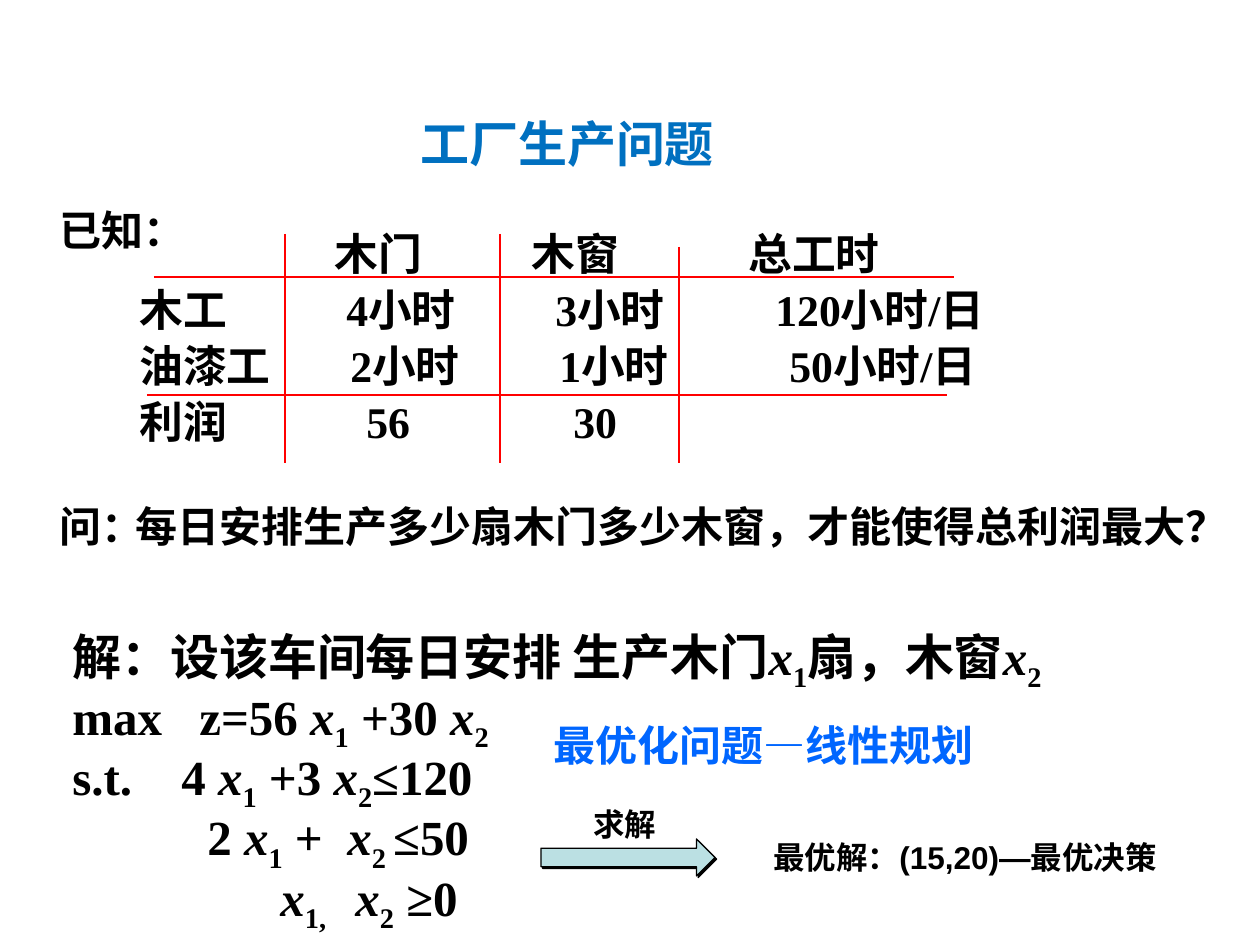
import pptx
import pptx.dml.color
import pptx.enum.shapes
import pptx.enum.text
import pptx.oxml
import pptx.oxml.ns
import pptx.util

PX = 914400 / 126
SERIF, SANS, HAN = "Times New Roman", "Arial", "Noto Sans CJK SC"
BLACK, RED, BLUE, TITLE_BLUE, PALE = "000000", "FF0000", "0066FF", "0070C0", "BBE0E3"
XMLNS = pptx.oxml.ns.nsdecls("a")
X1 = [("x", "i"), ("1", "sub")]
X2 = [("x", "i"), ("2", "sub")]


def px(length):
    """Turn pixels into EMU."""
    return pptx.util.Emu(round(length * PX))


def color(code):
    """Turn a hex string into a colour."""
    return pptx.dml.color.RGBColor.from_string(code)


def add_span(para, words, style, size, font, code):
    """Add one run; style is empty, i for italic or sub for subscript."""
    span = para.add_run()
    span.text = words
    values = {"size": pptx.util.Pt(size), "bold": True, "italic": style == "i", "name": font}
    span.font.color.rgb = color(code)
    for name, value in values.items():
        setattr(span.font, name, value)
    properties = span._r.get_or_add_rPr()
    properties.append(pptx.oxml.parse_xml(f'<a:ea {XMLNS} typeface="{HAN}"/>'))
    if style == "sub":
        properties.set("baseline", "-25000")


def set_tabs(para, stops):
    """Give a paragraph left tab stops, in pixels from the text edge."""
    tabs = "".join(f'<a:tab pos="{px(stop)}" algn="l"/>' for stop in stops)
    para._p.get_or_add_pPr().append(pptx.oxml.parse_xml(f"<a:tabLst {XMLNS}>{tabs}</a:tabLst>"))


def add_text(page, area, lines, size, font, code=BLACK, spacing=None, wrap=True, grow=True, top=6):
    """Add a text box of lines, each a list of spans and a list of tab stops."""
    box = page.shapes.add_textbox(*map(px, area))
    sizing = pptx.enum.text.MSO_AUTO_SIZE
    frame_values = {
        "word_wrap": wrap,
        "auto_size": sizing.SHAPE_TO_FIT_TEXT if grow else sizing.NONE,
        "margin_top": px(top),
    }
    for name, value in frame_values.items():
        setattr(box.text_frame, name, value)
    for index, (spans, stops) in enumerate(lines):
        para = box.text_frame.add_paragraph() if index else box.text_frame.paragraphs[0]
        if spacing:
            para.line_spacing = spacing
        if stops:
            set_tabs(para, stops)
        for words, style in spans:
            add_span(para, words, style, size, font, code)


def add_label(page, area, words, size, font, **options):
    """Add a text box holding one plain line."""
    add_text(page, area, [([(words, "")], [])], size, font, **options)


def add_rule(page, left, top, right, bottom):
    """Add one red straight line."""
    kind = pptx.enum.shapes.MSO_CONNECTOR.STRAIGHT
    rule = page.shapes.add_connector(kind, *map(px, (left, top, right, bottom)))
    rule.line.color.rgb = color(RED)
    rule.line.width = pptx.util.Pt(1.25)
    rule._element.spPr.append(pptx.oxml.parse_xml(f"<a:effectLst {XMLNS}/>"))


def add_known(page, left, top):
    """Place the known data: label, tabbed rows and ruled lines."""
    rows = [
        ("\t木门\t木窗\t总工时", [195, 392, 609]),
        ("木工\t4小时\t3小时\t120小时/日", [207, 416, 636]),
        ("油漆工\t2小时\t1小时\t50小时/日", [211, 420, 650]),
        ("利润\t56\t30", [227, 434]),
    ]
    lines = [([(words, "")], stops) for words, stops in rows]
    add_text(page, (left + 80, top, 1113, 360), lines, 25, SERIF,
             spacing=pptx.util.Pt(32), grow=False, top=57)
    for x, y in ((107, 111), (100, 229)):
        add_rule(page, left + x, top + y, left + x + 800, top + y)
    for x, y in ((238, 68), (453, 68), (632, 81)):
        add_rule(page, left + x, top + y, left + x, top + 297)
    add_label(page, (left, top + 38, 154, 59), "已知：", 24, SANS, spacing=0.9, wrap=False)


def add_question(page, left, top):
    """Place the question and its label."""
    add_label(page, (left, top, 111, 64), "问：", 24, SANS, wrap=False)
    add_label(page, (left + 76, top, 1133, 64),
              "每日安排生产多少扇木门多少木窗，才能使得总利润最大？", 24, SERIF)


def add_model(page, left, top):
    """Place the linear model."""
    lines = [
        ([("解：设该车间每日安排 生产木门", ""), *X1, ("扇，木窗", ""), *X2], []),
        ([("max\tz=56 ", ""), *X1, (" +30 ", ""), *X2], [127]),
        ([("s.t.\t4 ", ""), *X1, (" +3 ", ""), *X2, ("≤120", "")], [109]),
        ([("\t2 ", ""), *X1, (" +\t", ""), ("x", "i"), ("2 ", "sub"), ("≤50", "")], [135, 275]),
        ([("\t", ""), ("x", "i"), ("1,\t", "sub"), *X2, (" ≥0", "")], [208, 283]),
    ]
    add_text(page, (left, top, 1091, 314), lines, 28, SERIF, spacing=0.9)


def add_result(page, left, top):
    """Place the problem type, the solving arrow and the optimum."""
    add_label(page, (left, top, 546, 63), "最优化问题—线性规划", 24, HAN, code=BLUE)
    arrow = page.shapes.add_shape(pptx.enum.shapes.MSO_SHAPE.RIGHT_ARROW,
                                  *map(px, (left, top + 125, 174, 37)))
    arrow.fill.solid()
    arrow.fill.fore_color.rgb = color(PALE)
    arrow.line.color.rgb = color(BLACK)
    arrow.line.width = pptx.util.Pt(0.75)
    arrow._element.spPr.append(pptx.oxml.parse_xml(
        f'<a:effectLst {XMLNS}><a:outerShdw dist="{pptx.util.Pt(1.4)}" dir="2700000" '
        f'algn="ctr" rotWithShape="0"><a:srgbClr val="{BLACK}"/></a:outerShdw></a:effectLst>'))
    add_label(page, (left + 220, top + 118, 412, 50), "最优解：(15,20)—最优决策", 18, SANS)
    add_label(page, (left + 40, top + 85, 93, 50), "求解", 18, SANS)


def main():
    """Build and save the deck."""
    deck = pptx.Presentation()
    deck.slide_width, deck.slide_height = px(1260), px(945)
    page = deck.slides.add_slide(deck.slide_layouts[6])
    add_label(page, (408, 107, 745, 72), "工厂生产问题", 28, HAN, code=TITLE_BLUE)
    add_known(page, 47, 166)
    add_question(page, 47, 495)
    add_model(page, 60, 621)
    add_result(page, 541, 714)
    deck.save("out.pptx")


if __name__ == "__main__":
    main()
